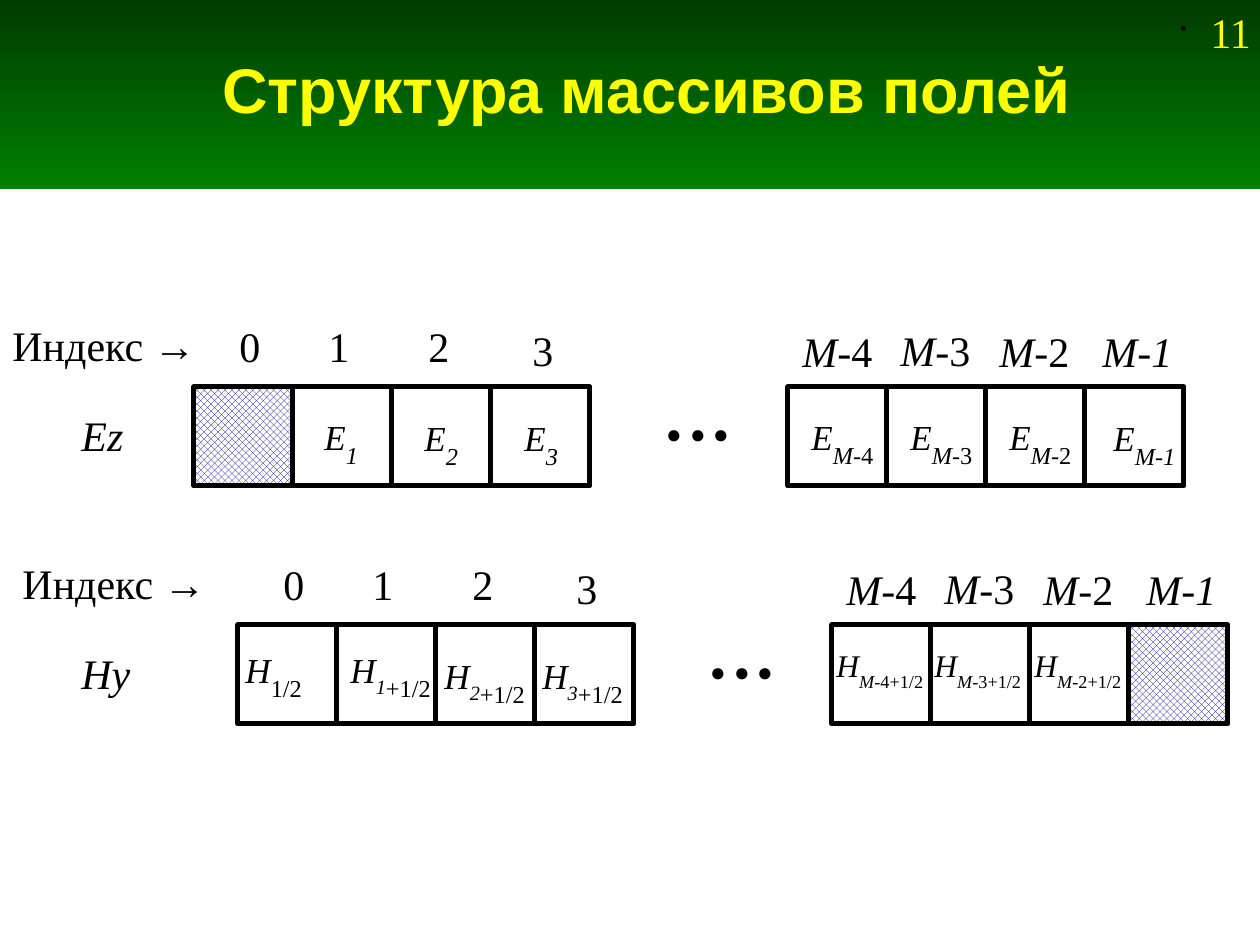
from dataclasses import dataclass

from lxml.etree import SubElement
from pptx import Presentation
from pptx.dml.color import RGBColor
from pptx.enum.dml import MSO_PATTERN_TYPE as Pattern
from pptx.enum.shapes import MSO_SHAPE as Shape
from pptx.enum.text import MSO_ANCHOR as Anchor, MSO_AUTO_SIZE as AutoSize, PP_ALIGN as Align
from pptx.oxml.ns import qn
from pptx.util import Emu, Pt

EMU_PER_PX = 914400 / 126
CELL = 99
HALF_COLUMNS = ((0, 1, 2, 3), (6, 7, 8, 9))
BLACK, WHITE, YELLOW, NAVY = "000000", "FFFFFF", "FFFF00", "000080"


@dataclass(frozen=True)
class Term:
    text: str
    size: int = 24
    italic: bool = False
    sub: bool = False
    bold: bool = False
    font: str = "Times New Roman"
    color: str = BLACK


@dataclass(frozen=True)
class Label:
    x: int
    y: int
    width: int
    height: int
    terms: tuple[Term, ...]
    wrap: bool = True


@dataclass(frozen=True)
class FieldArray:
    x: int
    y: int
    hatched: int
    name: Label
    caption_x: int
    entries: tuple[Label, ...]


def px(length: int) -> Emu:
    return Emu(round(length * EMU_PER_PX))


def rgb(code: str) -> RGBColor:
    return RGBColor.from_string(code)


def add_label(slide, label: Label, x: int = 0, y: int = 0):
    box = slide.shapes.add_textbox(px(x + label.x), px(y + label.y), px(label.width), px(label.height))
    frame = box.text_frame
    frame.word_wrap = label.wrap
    frame.auto_size = AutoSize.SHAPE_TO_FIT_TEXT
    for term in label.terms:
        run = frame.paragraphs[0].add_run()
        run.text = term.text
        font = run.font
        font.name, font.size = term.font, Pt(term.size)
        font.italic, font.bold = term.italic, term.bold
        font.color.rgb = rgb(term.color)
        if term.sub:
            run._r.get_or_add_rPr().set("baseline", "-33000")
    return frame


def add_cell(slide, x: int, y: int, hatched: bool) -> None:
    cell = slide.shapes.add_shape(Shape.RECTANGLE, px(x), px(y), px(CELL), px(CELL))
    cell.shadow.inherit = False
    if hatched:
        cell.fill.patterned()
        cell.fill.pattern = Pattern.OUTLINED_DIAMOND
        cell.fill.fore_color.rgb = rgb(NAVY)
        cell.fill.back_color.rgb = rgb(WHITE)
    else:
        cell.fill.solid()
        cell.fill.fore_color.rgb = rgb(WHITE)
    cell.line.color.rgb = rgb(BLACK)
    cell.line.width = Pt(2.83)
    SubElement(cell.line._get_or_add_ln(), qn("a:round"))


def e_value(x: int, y: int, width: int, index: str, offset: str = "") -> Label:
    terms = [Term("E", 20, italic=True), Term(index, italic=True, sub=True)]
    if offset:
        terms.append(Term(offset, sub=True))
    return Label(x, y, width, 80, tuple(terms))


def h_value(x: int, y: int, width: int, size: int, index: str, offset: str, offset_size: int) -> Label:
    terms = [Term("H", size, italic=True)]
    if index:
        terms.append(Term(index, size, italic=True, sub=True))
    terms.append(Term(offset, offset_size, sub=True))
    return Label(x, y, width, 80, tuple(terms))


def index_label(x: int, y: int, text: str, variable: str = "") -> Label:
    if variable:
        return Label(x, y, 97, 63, (Term(variable, italic=True), Term(text)), wrap=False)
    return Label(x, y, 45, 63, (Term(text),), wrap=False)


INDEXES = (
    index_label(33, -73, "0"),
    index_label(122, -73, "1"),
    index_label(222, -73, "2"),
    index_label(326, -69, "3"),
    index_label(596, -68, "-4", "M"),
    index_label(694, -69, "-3", "M"),
    index_label(793, -68, "-2", "M"),
    Label(896, -68, 95, 63, (Term("M-1", italic=True),), wrap=False),
)
ELLIPSIS = Label(456, -47, 110, 126, (Term("...", 54),))

ARRAYS = (
    FieldArray(
        194, 387, 0,
        Label(69, 16, 69, 63, (Term("Ez", italic=True),)),
        0,
        (
            e_value(118, 15, 59, "1"),
            e_value(218, 16, 74, "2"),
            e_value(318, 16, 64, "3"),
            e_value(605, 15, 89, "M", "-4"),
            e_value(704, 15, 89, "M", "-3"),
            e_value(803, 15, 89, "M", "-2"),
            e_value(907, 16, 93, "M-1"),
        ),
    ),
    FieldArray(
        238, 625, 9,
        Label(69, 16, 79, 63, (Term("Hy", italic=True),)),
        10,
        (
            h_value(-5, 10, 118, 20, "", "1/2", 24),
            h_value(100, 10, 118, 20, "1", "+1/2", 24),
            h_value(194, 16, 118, 20, "2", "+1/2", 24),
            h_value(292, 16, 118, 20, "3", "+1/2", 24),
            h_value(586, 15, 149, 18, "M", "-4+1/2", 18),
            h_value(684, 15, 149, 18, "M", "-3+1/2", 18),
            h_value(784, 15, 121, 18, "M", "-2+1/2", 18),
        ),
    ),
)


def add_array(slide, array: FieldArray) -> None:
    for half in HALF_COLUMNS:
        for column in half:
            add_cell(slide, array.x + column * CELL, array.y, column == array.hatched)
    for label in (*INDEXES, ELLIPSIS, *array.entries):
        add_label(slide, label, array.x, array.y)
    add_label(slide, array.name, y=array.y)
    add_label(slide, Label(array.caption_x, -74, 209, 63, (Term("Индекс →"),), wrap=False), y=array.y)


def add_header(slide) -> None:
    banner = slide.shapes.add_shape(Shape.RECTANGLE, 0, 0, px(1260), px(189))
    banner.shadow.inherit = False
    banner.line.fill.background()
    banner.fill.gradient()
    banner.fill.gradient_angle = 270
    for stop, code in zip(banner.fill.gradient_stops, ("003B00", "008000")):
        stop.color.rgb = rgb(code)

    number = add_label(slide, Label(1168, 0, 207, 63, (Term("11", color=YELLOW),), wrap=False))
    properties = number.paragraphs[0]._p.get_or_add_pPr()
    properties.set("marL", str(px(30)))
    properties.set("indent", str(px(-30)))
    SubElement(SubElement(properties, qn("a:buClr")), qn("a:srgbClr"), val=BLACK)
    SubElement(properties, qn("a:buSzPct"), val="45000")
    SubElement(properties, qn("a:buChar"), char="•")

    heading = Term("Структура массивов полей", 36, bold=True, font="Arial", color=YELLOW)
    title = add_label(slide, Label(84, 6, 1125, 164, (heading,)))
    title.auto_size = AutoSize.NONE
    title.vertical_anchor = Anchor.MIDDLE
    title.paragraphs[0].alignment = Align.CENTER


def main() -> None:
    deck = Presentation()
    deck.slide_width, deck.slide_height = px(1260), px(945)
    slide = deck.slides.add_slide(deck.slide_layouts[6])
    add_header(slide)
    for array in ARRAYS:
        add_array(slide, array)
    deck.save("out.pptx")


if __name__ == "__main__":
    main()
